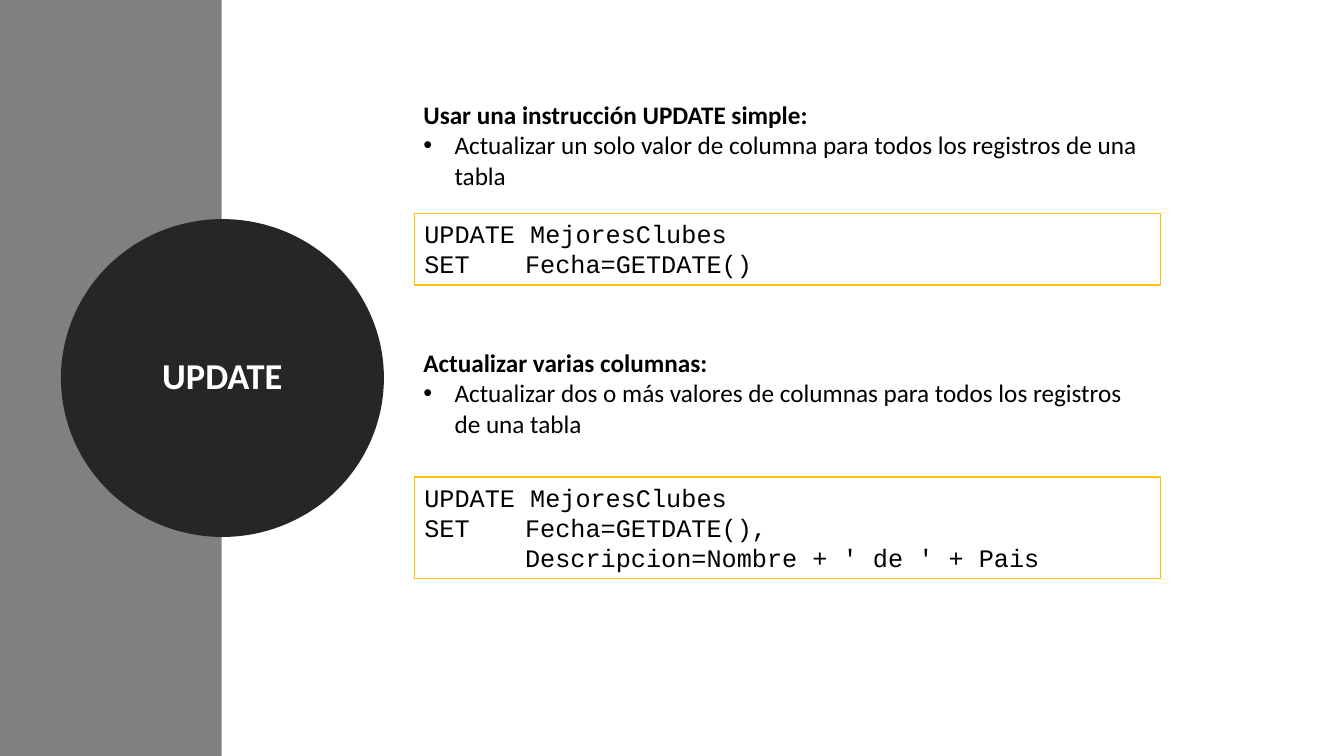
from dataclasses import dataclass

from lxml.etree import SubElement as Sub
from pptx import Presentation
from pptx.dml.color import RGBColor as RGB
from pptx.enum.shapes import MSO_SHAPE as Shape
from pptx.enum.text import MSO_ANCHOR as Anchor, MSO_AUTO_SIZE as Fit, PP_ALIGN as Align
from pptx.oxml.ns import qn
from pptx.util import Inches, Pt


@dataclass(frozen=True)
class Theme:
    band: str = "808080"
    disc: str = "262626"
    paper: str = "FFFFFF"
    ink: str = "000000"
    frame: str = "FFC000"
    sans: str = "Calibri"
    mono: str = "Courier New"
    head: int = 26
    body: int = 18
    rim: float = 13.75
    thin: float = 1
    hang: float = 0.31
    tab: float = 1


class Deck:
    """Style and current slide; places are percent columns and rows."""

    def __init__(self, theme):
        self.theme = theme
        self.prs = Presentation()
        self.prs.slide_width, self.prs.slide_height = Inches(13.33), Inches(7.5)
        self.slide = self.prs.slides.add_slide(self.prs.slide_layouts[3])

    def grid(self, x, y, w, h):
        wide, high = self.prs.slide_width / 100, self.prs.slide_height / 100
        return [round(v) for v in (x * wide, y * high, w * wide, h * high)]

    def move(self, item, area):
        item.left, item.top, item.width, item.height = self.grid(*area)

    def shape(self, kind, area, fill, line=None, width=1):
        item = self.slide.shapes.add_shape(kind, *self.grid(*area))
        item.shadow.inherit = False
        item.fill.solid()
        item.fill.fore_color.rgb = RGB.from_string(fill)
        if line:
            item.line.color.rgb = RGB.from_string(line)
            item.line.width = Pt(width)
        else:
            item.line.fill.background()
        return item

    def run(self, para, text, size, color, font, bold=False):
        run = para.add_run()
        run.text = text
        run.font.size, run.font.name, run.font.bold = Pt(size), font, bold
        run.font.color.rgb = RGB.from_string(color)

    def paras(self, item, lines):
        """Yield one left-aligned paragraph with its text per line."""
        frame = item.text_frame
        frame.word_wrap, frame.auto_size = True, Fit.SHAPE_TO_FIT_TEXT
        frame.vertical_anchor = Anchor.TOP
        for i, text in enumerate(lines):
            para = frame.add_paragraph() if i else frame.paragraphs[0]
            para.alignment, para.line_spacing = Align.LEFT, 1.0
            para.space_before = para.space_after = Pt(0)
            yield para, text

    def title(self, text, area):
        t, item = self.theme, self.slide.shapes.title
        self.move(item, area)
        self.slide.shapes.element.append(item.element)  # bring to front
        frame = item.text_frame
        frame.auto_size, frame.vertical_anchor = Fit.NONE, Anchor.MIDDLE
        para = frame.paragraphs[0]
        para.alignment, para.line_spacing = Align.CENTER, 0.9
        self.run(para, text, t.head, t.paper, t.sans, True)

    def topic(self, slot, area, head, point):
        t, item = self.theme, self.slide.placeholders[slot]
        self.move(item, area)
        for para, text in self.paras(item, (head, point)):
            first = text == head
            self.run(para, text, t.body, t.ink, t.sans, first)
            props = para._p.get_or_add_pPr()
            props.set("marL", str(Inches(t.hang)))
            props.set("indent", str(-Inches(t.hang)))
            if first:
                Sub(props, qn("a:buNone"))
            else:
                Sub(props, qn("a:buFont"), typeface="Arial")
                Sub(props, qn("a:buChar"), char="•")

    def code(self, area, lines):
        t = self.theme
        item = self.shape(Shape.RECTANGLE, area, t.paper, t.frame, t.thin)
        for para, text in self.paras(item, lines):
            self.run(para, text, t.body, t.ink, t.mono)
            tabs = Sub(para._p.get_or_add_pPr(), qn("a:tabLst"))
            Sub(tabs, qn("a:tab"), pos=str(Inches(t.tab)), algn="l")


theme = Theme()
deck = Deck(theme)

# Side band and title disc
disc = (5.25, 30.25, 22.6, 39.5)
deck.shape(Shape.RECTANGLE, (0, 0, 16.5, 100), theme.band)
deck.shape(Shape.OVAL, disc, theme.disc, theme.disc, theme.rim)
deck.title("UPDATE", disc)

# Topics, each with its code sample: text row, code row, code height
topics = [
    (12.5, 28.25, 9.45, "Usar una instrucción UPDATE simple:",
     "Actualizar un solo valor de columna para todos los registros de una tabla",
     ["UPDATE MejoresClubes", "SET \tFecha=GETDATE()"]),
    (45.3, 63.1, 13.45, "Actualizar varias columnas:",
     "Actualizar dos o más valores de columnas para todos los registros de una tabla",
     ["UPDATE MejoresClubes", "SET \tFecha=GETDATE(),",
      "\tDescripcion=Nombre + ' de ' + Pais"]),
]
for slot, (top, row, high, head, point, lines) in enumerate(topics, 1):
    deck.topic(slot, (30.75, top, 55.5, 13.45), head, point)
    deck.code((30.83, row, 55.5, high), lines)

deck.prs.save("out.pptx")
